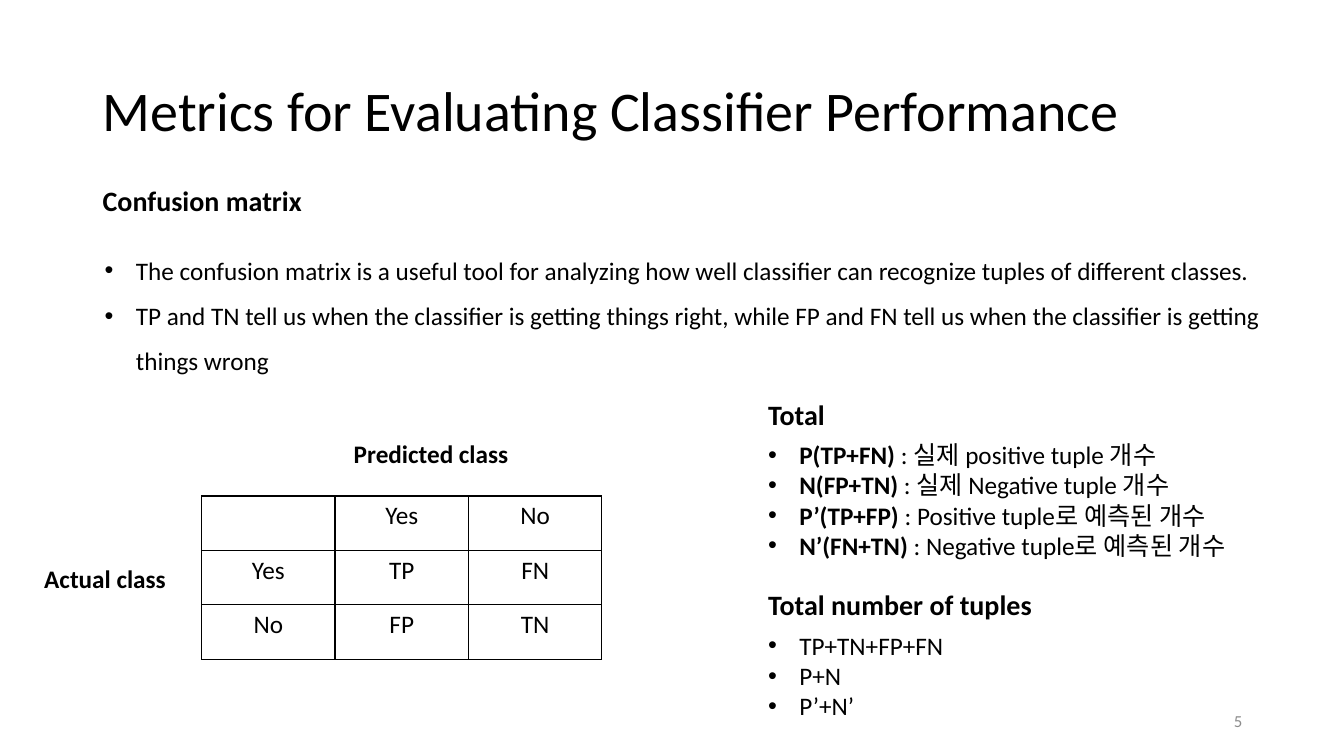
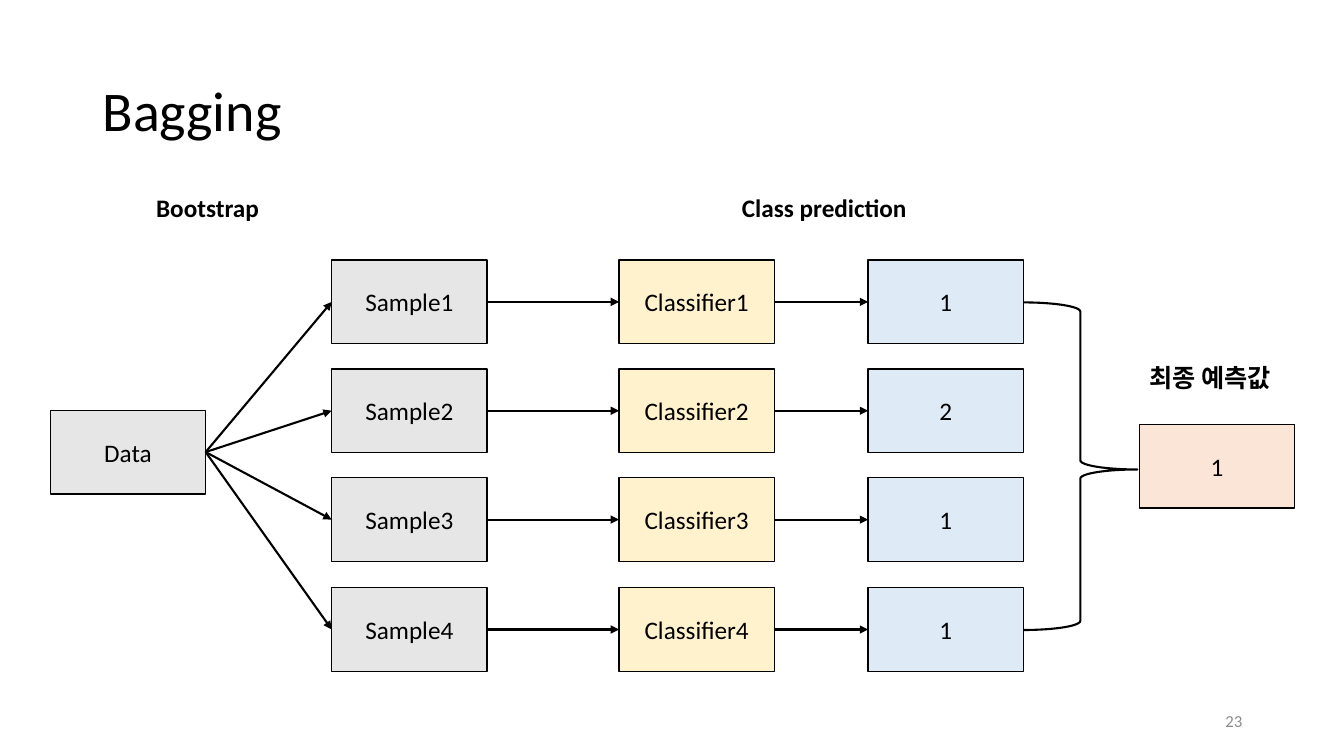
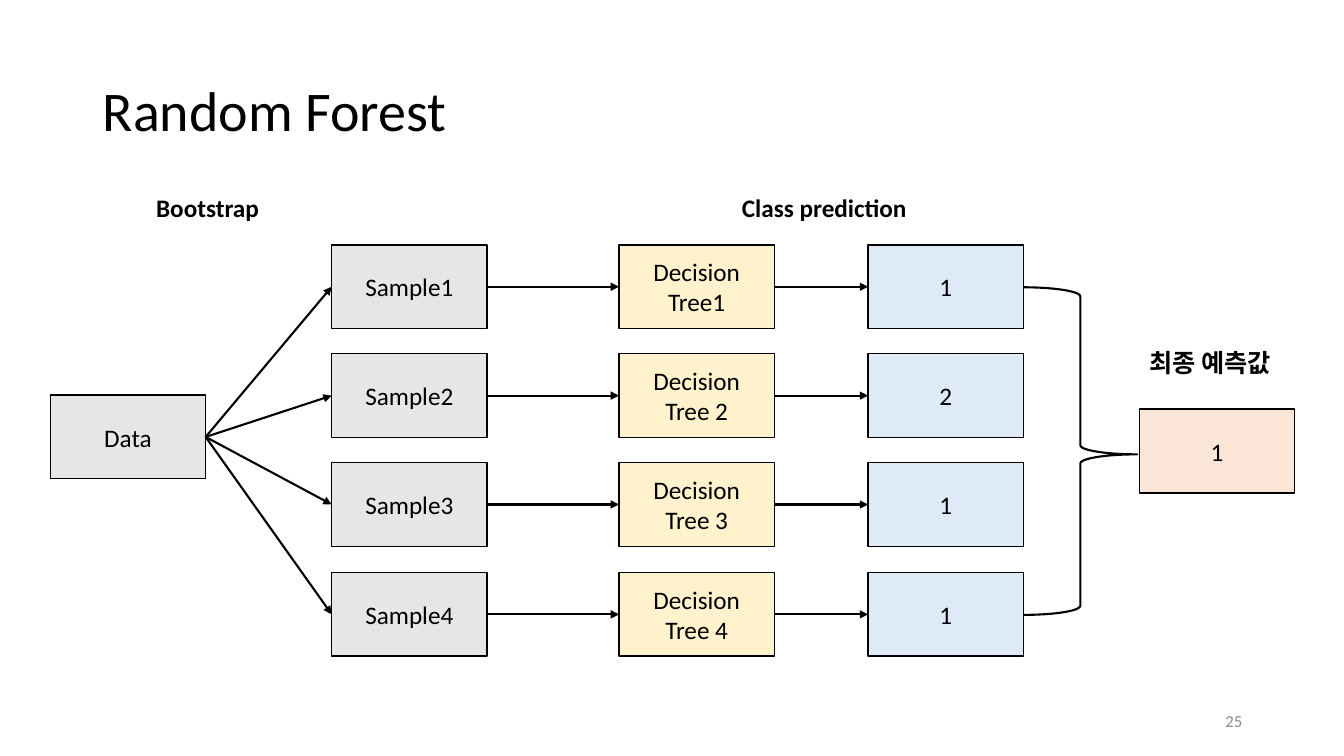
from dataclasses import dataclass

from lxml import etree
from pptx import Presentation
from pptx import util as u
from pptx.dml.color import RGBColor
from pptx.enum import shapes, text
from pptx.oxml import ns

PX = 9144  # EMU per px, 100 px to the inch


@dataclass(frozen=True)
class Theme:
    font: str = "Calibri"
    ink: str = "000000"
    paper: str = "FFFFFF"
    muted: str = "8C8C8C"
    data: str = "E7E6E6"
    model: str = "FFF2CC"
    vote: str = "DEEBF7"
    final: str = "FBE5D6"
    title: int = 40
    heading: int = 20
    body: int = 18
    footer: int = 12
    outline: float = 1
    arrow: float = 1.5


@dataclass(frozen=True)
class Box:
    left: int
    top: int
    width: int
    height: int

    def inner(self, left, top, width, height):
        """A box placed relative to this box's top left corner."""
        return Box(self.left + left, self.top + top, width, height)

    def emu(self):
        return [side * PX for side in (self.left, self.top, self.width, self.height)]


THEME = Theme()
ALIGN = text.PP_ALIGN
ANCHOR = text.MSO_ANCHOR
STEP = 325 / 3  # distance between the rows of an ensemble


def rgb(colour):
    return RGBColor.from_string(colour)


def sub(parent, tag, **attributes):
    child = etree.SubElement(parent, ns.qn(tag))
    for name, value in attributes.items():
        child.set(name, str(value))
    return child


def write(frame, paragraphs, size=THEME.body, colour=THEME.ink, bold=False,
          align=ALIGN.LEFT, anchor=ANCHOR.TOP, spacing=None, bullet=False):
    """Fill a text frame; a paragraph is a string or a list of (text, bold) runs."""
    frame.word_wrap = True
    frame.vertical_anchor = anchor
    for index, content in enumerate(paragraphs):
        paragraph = frame.add_paragraph() if index else frame.paragraphs[0]
        paragraph.alignment = align
        if spacing:
            paragraph.line_spacing = spacing
        if bullet:
            properties = paragraph._p.get_or_add_pPr()
            properties.set("marL", str(31 * PX))
            properties.set("indent", str(-31 * PX))
            sub(properties, "a:buFont", typeface="Arial")
            sub(properties, "a:buChar", char="•")
        for words, strong in [(content, bold)] if isinstance(content, str) else content:
            run = paragraph.add_run()
            run.text = words
            run.font.name = THEME.font
            run.font.size = u.Pt(size)
            run.font.bold = strong
            run.font.color.rgb = rgb(colour)


def add_text(slide, box, *paragraphs, **style):
    write(slide.shapes.add_textbox(*box.emu()).text_frame, paragraphs, **style)


def add_node(slide, box, label, colour):
    node = slide.shapes.add_shape(shapes.MSO_SHAPE.RECTANGLE, *box.emu())
    node.shadow.inherit = False
    node.fill.solid()
    node.fill.fore_color.rgb = rgb(colour)
    node.line.color.rgb = rgb(THEME.ink)
    node.line.width = u.Pt(THEME.outline)
    write(node.text_frame, [label], align=ALIGN.CENTER, anchor=ANCHOR.MIDDLE)
    return node


def add_arrow(slide, source, target):
    """Arrow from the right side of source to the left side of target."""
    arrow = slide.shapes.add_connector(shapes.MSO_CONNECTOR.STRAIGHT, 0, 0, 0, 0)
    arrow.begin_connect(source, 3)
    arrow.end_connect(target, 1)
    arrow.line.color.rgb = rgb(THEME.ink)
    arrow.line.width = u.Pt(THEME.arrow)
    sub(arrow.line._get_or_add_ln(), "a:tailEnd", type="triangle")
    sub(arrow._element.spPr, "a:effectLst")


def add_brace(slide, box):
    brace = slide.shapes.add_shape(shapes.MSO_SHAPE.RIGHT_BRACE, *box.emu())
    brace.shadow.inherit = False
    brace.fill.background()
    brace.line.color.rgb = rgb(THEME.ink)
    brace.line.width = u.Pt(THEME.arrow)
    brace.adjustments[0] = 0.08
    brace.adjustments[1] = 0.51


def add_page(deck, title, number):
    """Blank slide with the shared title and page number."""
    slide = deck.slides.add_slide(deck.slide_layouts[6])
    add_text(slide, Box(92, 40, 1150, 145), title, size=THEME.title,
             anchor=ANCHOR.MIDDLE, spacing=0.9)
    add_text(slide, Box(942, 695, 300, 40), str(number), size=THEME.footer,
             colour=THEME.muted, align=ALIGN.RIGHT, anchor=ANCHOR.MIDDLE)
    return slide


def style_cell(cell):
    properties = cell._tc.get_or_add_tcPr()
    for side in ("a:lnL", "a:lnR", "a:lnT", "a:lnB"):
        border = sub(properties, side, w=u.Pt(THEME.outline))
        sub(sub(border, "a:solidFill"), "a:srgbClr", val=THEME.ink)
    cell.fill.solid()
    cell.fill.fore_color.rgb = rgb(THEME.paper)


def add_confusion_matrix(slide, box):
    add_text(slide, box.inner(307, 0, 241, 40), "Predicted class", bold=True)
    add_text(slide, box.inner(0, 124, 141, 40), "Actual class", bold=True)
    counts = [["", "Yes", "No"], ["Yes", "TP", "FN"], ["No", "FP", "TN"]]
    grid = box.inner(166, 62, box.width - 166, box.height - 62)
    matrix = slide.shapes.add_table(3, 3, *grid.emu()).table
    matrix.first_row = matrix.horz_banding = False
    for row, labels in enumerate(counts):
        for column, label in enumerate(labels):
            cell = matrix.cell(row, column)
            style_cell(cell)
            if label:
                write(cell.text_frame, [label], align=ALIGN.CENTER)


def add_section(slide, box, heading, items):
    """Bold heading with a bullet list below it."""
    add_text(slide, box.inner(0, 0, box.width, 44), heading, size=THEME.heading, bold=True)
    add_text(slide, box.inner(0, 42, box.width, box.height - 42), *items, bullet=True)


def add_ensemble(slide, box, models):
    """Data is sampled, each sample feeds a model, and the votes are joined."""
    def node(left, top, label, colour):
        return add_node(slide, box.inner(left, top, 154, 83), label, colour)

    source = node(0, 149, "Data", THEME.data)
    for row, (model, vote) in enumerate(zip(models, "1211")):
        top = int(row * STEP)
        sample = node(279, top, f"Sample{row + 1}", THEME.data)
        classifier = node(564, top, model, THEME.model)
        prediction = node(811, top, vote, THEME.vote)
        for start, end in ((source, sample), (sample, classifier), (classifier, prediction)):
            add_arrow(slide, start, end)
    add_brace(slide, box.inner(965, 42, 113, 325))
    node(1080, 163, "1", THEME.final)
    add_text(slide, box.inner(1080, 97, 192, 40), "최종 예측값", bold=True)


def build_metrics(deck):
    slide = add_page(deck, "Metrics for Evaluating Classifier Performance", 5)
    add_text(slide, Box(92, 177, 240, 44), "Confusion matrix", size=THEME.heading, bold=True)
    add_text(
        slide, Box(94, 233, 1207, 142),
        "The confusion matrix is a useful tool for analyzing how well classifier can "
        "recognize tuples of different classes.",
        "TP and TN tell us when the classifier is getting things right, while FP and FN "
        "tell us when the classifier is getting things wrong",
        bullet=True, spacing=1.5)
    add_confusion_matrix(slide, Box(34, 430, 563, 224))
    totals = [("P(TP+FN)", " : 실제 positive tuple 개수"),
              ("N(FP+TN)", " : 실제 Negative tuple 개수"),
              ("P’(TP+FP)", " : Positive tuple로 예측된 개수"),
              ("N’(FN+TN)", " : Negative tuple로 예측된 개수")]
    add_section(slide, Box(752, 389, 497, 173), "Total",
                [[(term, True), (meaning, False)] for term, meaning in totals])
    add_section(slide, Box(752, 578, 370, 143), "Total number of tuples",
                ["TP+TN+FP+FN", "P+N", "P’+N’"])


def build_ensemble(deck, title, number, top, models):
    slide = add_page(deck, title, number)
    add_text(slide, Box(145, 186, 212, 40), "Bootstrap", bold=True)
    add_text(slide, Box(726, 186, 192, 40), "Class prediction", bold=True)
    add_ensemble(slide, Box(50, top, 1272, 408), models)


def main():
    deck = Presentation()
    deck.slide_width, deck.slide_height = u.Emu(1333 * PX), u.Emu(750 * PX)
    build_metrics(deck)
    build_ensemble(deck, "Bagging", 23, 258,
                   [f"Classifier{number}" for number in range(1, 5)])
    build_ensemble(deck, "Random Forest", 25, 243,
                   ["Decision Tree1", "Decision Tree 2", "Decision Tree 3", "Decision Tree 4"])
    deck.save("out.pptx")


if __name__ == "__main__":
    main()
